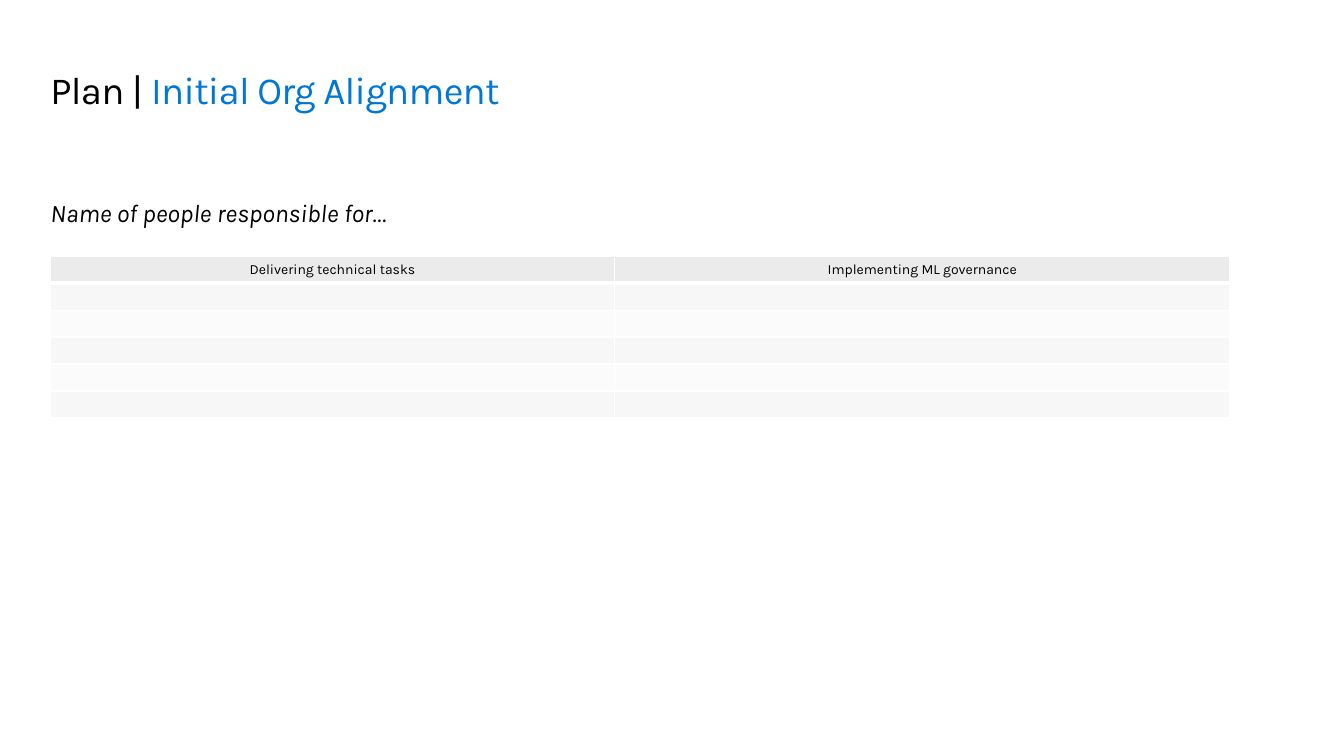
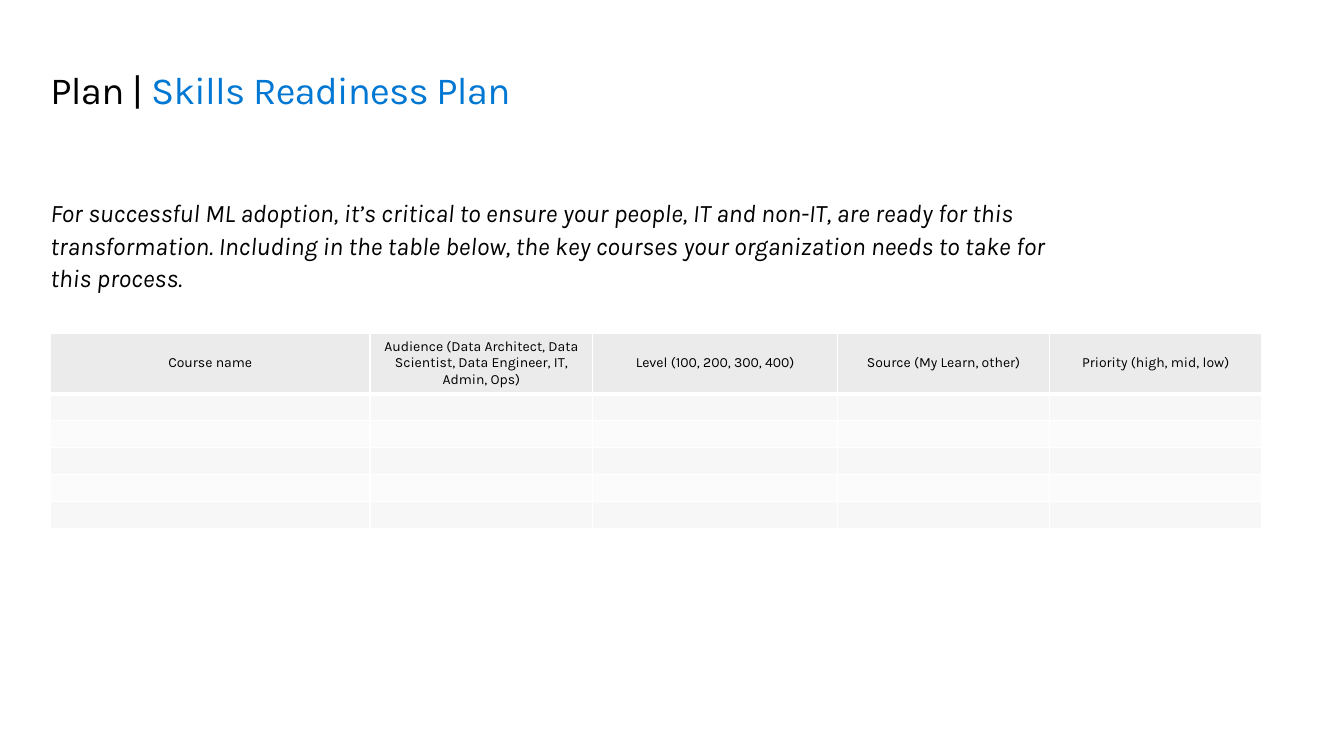
import pptx
import pptx.dml.color
import pptx.enum.text
import pptx.oxml.ns
import pptx.util
from lxml import etree

Pt = pptx.util.Pt
ALIGN = pptx.enum.text.PP_ALIGN
ANCHOR = pptx.enum.text.MSO_ANCHOR

# Shared look
FACE = "Karla"
BLACK, BLUE, WHITE = "000000", "0078D3", "FFFFFF"
HEADER_FILL, BAND_FILLS = "EBEBEB", ("F7F7F7", "FBFBFB")
LEFT = 36
BODY_ROWS = 5


def rgb(value):
    return pptx.dml.color.RGBColor.from_string(value)


def set_font(font, size, italic=False):
    font.name, font.size, font.italic = FACE, Pt(size), italic
    font.color.rgb = rgb(BLACK)


plans = [
    {
        "topic": "Initial Org Alignment",
        "intro": "Name of people responsible for…",
        "intro_height": 22.3,
        "table_top": 183,
        "headings": ["Delivering technical tasks", "Implementing ML governance"],
        "widths": [403, 439.5],
        "header_height": 19.2,
        "row_height": 19.2,
    },
    {
        "topic": "Skills Readiness Plan",
        "intro": "For successful ML adoption, it’s critical to ensure your people, IT and "
                 "non-IT, are ready for this transformation. Including in the table below, "
                 "the key courses your organization needs to take for this process.",
        "intro_height": 69,
        "table_top": 237.9,
        "headings": [
            "Course name",
            "Audience (Data Architect, Data Scientist, Data Engineer, IT, Admin, Ops)",
            "Level (100, 200, 300, 400)",
            "Source (My Learn, other)",
            "Priority (high, mid, low)",
        ],
        "widths": [228.3, 159, 175, 151.5, 151.5],
        "header_height": 42,
        "row_height": 18.9,
    },
]

deck = pptx.Presentation()
deck.slide_width, deck.slide_height = Pt(960), Pt(540)

for plan in plans:
    slide = deck.slides.add_slide(deck.slide_layouts[5])

    # Title and introduction
    title = slide.shapes.title
    title.left, title.top, title.width, title.height = Pt(LEFT), Pt(49), Pt(890), Pt(31.4)
    intro = slide.shapes.add_textbox(Pt(LEFT), Pt(139.7), Pt(739), Pt(plan["intro_height"]))
    for box in (title, intro):
        frame = box.text_frame
        frame.margin_left = frame.margin_top = frame.margin_right = frame.margin_bottom = 0
        frame.word_wrap = True
        frame.vertical_anchor = ANCHOR.TOP
        frame.auto_size = pptx.enum.text.MSO_AUTO_SIZE.SHAPE_TO_FIT_TEXT

    heading = title.text_frame.paragraphs[0]
    heading.alignment = ALIGN.LEFT
    heading.line_spacing = Pt(31.4)
    set_font(heading.font, 27.4)
    for words, colour in (("Plan | ", BLACK), (plan["topic"], BLUE)):
        run = heading.add_run()
        run.text = words
        run.font.color.rgb = rgb(colour)
        run.font._element.set("spc", "-50")

    lead = intro.text_frame.paragraphs[0]
    lead.text = plan["intro"]
    lead.line_spacing = 1.07
    lead.space_after = Pt(8)
    set_font(lead.font, 18, italic=True)

    # Table size
    heights = [plan["header_height"]] + [plan["row_height"]] * BODY_ROWS
    grid = slide.shapes.add_table(
        len(heights), len(plan["widths"]), Pt(LEFT), Pt(plan["table_top"]),
        Pt(sum(plan["widths"])), Pt(sum(heights))).table
    for column, width in zip(grid.columns, plan["widths"]):
        column.width = Pt(width)

    # Header, banded rows and white rules
    for r, height in enumerate(heights):
        grid.rows[r].height = Pt(height)
        for c, words in enumerate(plan["headings"]):
            cell = grid.cell(r, c)
            cell.vertical_anchor = ANCHOR.MIDDLE
            entry = cell.text_frame.paragraphs[0]
            if r == 0:
                entry.text = words
            else:
                etree.SubElement(entry._p, pptx.oxml.ns.qn("a:endParaRPr"), sz="1000")
            entry.alignment = ALIGN.CENTER
            set_font(entry.font, 10)

            properties = cell._tc.get_or_add_tcPr()
            for side in ("lnL", "lnR", "lnT", "lnB"):
                under_header = (r, side) in ((0, "lnB"), (1, "lnT"))
                rule = etree.SubElement(properties, pptx.oxml.ns.qn("a:" + side),
                                        w=str(Pt(3 if under_header else 1)))
                paint = etree.SubElement(rule, pptx.oxml.ns.qn("a:solidFill"))
                etree.SubElement(paint, pptx.oxml.ns.qn("a:srgbClr"), val=WHITE)
            cell.fill.solid()
            cell.fill.fore_color.rgb = rgb(HEADER_FILL if r == 0 else BAND_FILLS[(r - 1) % 2])

deck.save("out.pptx")
